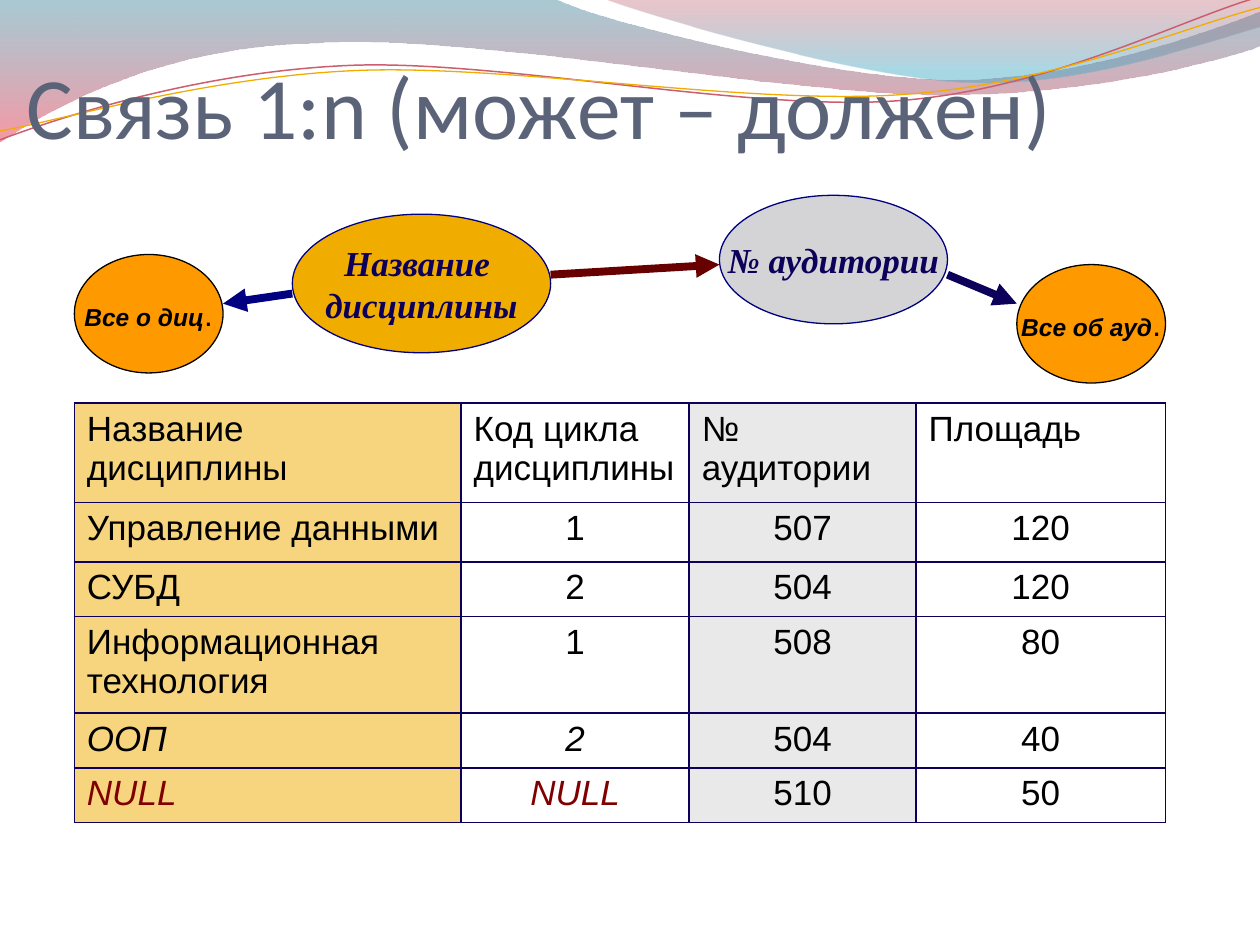
from lxml import etree
from pptx import Presentation
from pptx.dml.color import RGBColor
from pptx.enum.shapes import MSO_CONNECTOR, MSO_SHAPE
from pptx.enum.text import MSO_ANCHOR, PP_ALIGN
from pptx.oxml.ns import qn
from pptx.util import Inches, Pt

LEFT, CENTER = PP_ALIGN.LEFT, PP_ALIGN.CENTER
MIDDLE, BOTTOM = MSO_ANCHOR.MIDDLE, MSO_ANCHOR.BOTTOM
ELLIPSE, STRAIGHT = MSO_SHAPE.OVAL, MSO_CONNECTOR.STRAIGHT
NAVY, INK, MAROON, BLACK = "000080", "0D005A", "800000", "000000"
AMBER, SILVER, ORANGE = "F0AD00", "D4D4D6", "FF9900"


def color(value):
    return RGBColor.from_string(value)


def set_alpha(color_element, percent):
    etree.SubElement(color_element, qn("a:alpha")).set("val", str(percent * 1000))


def add_text(paragraph, text, size=20, font="Arial", fill=BLACK, bold=False,
             italic=False, align=LEFT):
    paragraph.alignment = align
    run = paragraph.add_run()
    run.text = text
    run.font.size = Pt(size)
    run.font.name = font
    run.font.bold = bold
    run.font.italic = italic
    run.font.color.rgb = color(fill)


def add_curve(slide, origin, start, segments, close):
    left, top = origin

    def place(x, y):
        return Inches(left + x), Inches(top + y)

    points = [place(*segment[i:i + 2]) for segment in segments for i in range(0, len(segment), 2)]
    builder = slide.shapes.build_freeform(*place(*start), scale=1.0)
    builder.add_line_segments(points, close=close)
    shape = builder.convert_to_shape()
    shape.shadow.inherit = False
    line_steps = iter(list(shape.element.spPr.iter(qn("a:lnTo"))))
    for segment in segments:
        steps = [next(line_steps) for _ in range(len(segment) // 2)]
        if len(steps) == 3:
            bezier = etree.Element(qn("a:cubicBezTo"))
            steps[0].addprevious(bezier)
            for step in steps:
                bezier.append(step[0])
                step.getparent().remove(step)
    return shape


def add_wave(slide, origin, start, segments, stops):
    shape = add_curve(slide, origin, start, segments, True)
    shape.line.fill.background()
    shape.fill.gradient()
    shape.fill.gradient_angle = 270
    for stop, (position, value, _) in zip(shape.fill.gradient_stops, stops):
        stop.position = position
        stop.color.rgb = color(value)
    fill_colors = shape.element.spPr.find(qn("a:gradFill")).iter(qn("a:srgbClr"))
    for element, (_, _, alpha) in zip(list(fill_colors), stops):
        set_alpha(element, alpha)


def add_ribbon(slide, origin, start, segments, value, width):
    shape = add_curve(slide, origin, start, segments, False)
    shape.fill.background()
    shape.line.color.rgb = color(value)
    shape.line.width = Pt(width)


def add_header_waves(slide, origin):
    add_wave(slide, origin, (0, 0), [
        (4.4, -0.01), (4.76, 0.17, 6.64, 0.63, 7.58, 0.63),
        (8.53, 0.63, 9.58, 0.26, 10, 0.09), (10.01, 0.36),
        (9.83, 0.44, 8.7, 0.76, 7.46, 0.75), (6.22, 0.75, 3.82, 0.28, 2.57, 0.34),
        (1.29, 0.36, 0.46, 0.83, -0.01, 1.13)],
        [(0, "3F8A9F", 45), (1, "EF445B", 55)])
    add_wave(slide, origin, (4.79, -0.01), [
        (5.09, 0.11, 6.82, 0.62, 7.69, 0.65), (8.56, 0.69, 9.61, 0.32, 10, 0.21), (10, 0)],
        [(0, "B84253", 30), (0.8, "42ABC7", 45)])
    add_ribbon(slide, origin, (0, 1.11), [
        (0.48, 0.93, 1.58, 0.57, 2.77, 0.52), (3.95, 0.47, 5.93, 0.89, 7.13, 0.8),
        (8.33, 0.71, 9.38, 0.15, 9.98, -0.02)], "CB5F6E", 0.85)
    add_ribbon(slide, origin, (0, 1.04), [
        (0.47, 0.96, 1.64, 0.61, 2.83, 0.56), (4.03, 0.51, 5.97, 0.84, 7.17, 0.75),
        (8.36, 0.67, 9.41, 0.21, 10, 0.06)], "F0AD00", 0.75)


def add_title(slide, box):
    frame = slide.shapes.add_textbox(*map(Inches, box)).text_frame
    frame.word_wrap = True
    frame.vertical_anchor = BOTTOM
    frame.margin_left = frame.margin_right = frame.margin_bottom = 0
    add_text(frame.paragraphs[0], "Связь 1:n (может – должен)", size=50, font="Calibri",
             fill="5A6378")


def set_borders(cell, value, width):
    properties = cell._tc.get_or_add_tcPr()
    for position, side in enumerate(("lnL", "lnR", "lnT", "lnB")):
        line = etree.Element(qn("a:" + side), w=str(Pt(width)))
        fill = etree.SubElement(line, qn("a:solidFill"))
        etree.SubElement(fill, qn("a:srgbClr"), val=value)
        properties.insert(position, line)


def add_room_table(slide, box):
    rows = [
        ("Название дисциплины", "Код цикла дисциплины", "№ аудитории", "Площадь"),
        ("Управление данными", "1", "507", "120"),
        ("СУБД", "2", "504", "120"),
        ("Информационная технология", "1", "508", "80"),
        ("ООП", "2", "504", "40"),
        ("NULL", "NULL", "510", "50"),
    ]
    column_fills = (AMBER, None, SILVER, None)
    graphic_frame = slide.shapes.add_table(len(rows), 4, *map(Inches, box))
    table = graphic_frame.table
    table.first_row = table.horz_banding = False
    for column, width in zip(table.columns, (3.07, 1.81, 1.8, 1.98)):
        column.width = Inches(width)
    for row, height in zip(table.rows, (0.79, 0.47, 0.38, 0.36, 0.2, 0.2)):
        row.height = Inches(height)
    graphic_frame.height = Inches(box[3])
    for row_index, values in enumerate(rows):
        for column_index, value in enumerate(values):
            cell = table.cell(row_index, column_index)
            add_text(cell.text_frame.paragraphs[0], value,
                     fill=MAROON if value == "NULL" else BLACK,
                     italic=row_index >= 4 and column_index < 2,
                     align=CENTER if row_index and column_index else LEFT)
            fill = column_fills[column_index]
            if fill:
                cell.fill.solid()
                cell.fill.fore_color.rgb = color(fill)
                set_alpha(next(cell._tc.tcPr.iter(qn("a:srgbClr"))), 50)
            else:
                cell.fill.background()
            set_borders(cell, INK, 1)


def add_ellipse(slide, box, fill, line):
    shape = slide.shapes.add_shape(ELLIPSE, *map(Inches, box))
    shape.shadow.inherit = False
    shape.fill.solid()
    shape.fill.fore_color.rgb = color(fill)
    shape.line.color.rgb = color(line)
    shape.line.width = Pt(0.75)
    shape.text_frame.word_wrap = False
    shape.text_frame.vertical_anchor = MIDDLE
    return shape.text_frame


def add_key(slide, box, fill, lines):
    frame = add_ellipse(slide, box, fill, NAVY)
    for index, text in enumerate(lines):
        paragraph = frame.add_paragraph() if index else frame.paragraphs[0]
        add_text(paragraph, text, font="Times New Roman", fill=INK, bold=True, italic=True,
                 align=CENTER)


def add_details(slide, box, text):
    paragraph = add_ellipse(slide, box, ORANGE, BLACK).paragraphs[0]
    add_text(paragraph, text, size=14, bold=True, italic=True, align=CENTER)
    add_text(paragraph, ".", size=18, align=CENTER)


def add_arrow(slide, start, end, value):
    arrow = slide.shapes.add_connector(STRAIGHT, *map(Inches, start + end))
    arrow.line.color.rgb = color(value)
    arrow.line.width = Pt(4.5)
    line = arrow.element.spPr.find(qn("a:ln"))
    etree.SubElement(line, qn("a:tailEnd"), type="triangle")
    etree.SubElement(arrow.element.spPr, qn("a:effectLst"))


def add_relation_diagram(slide, left, top):
    def at(x, y, *size):
        return (left + x, top + y) + size

    add_key(slide, at(1.73, 0.15, 2.05, 1.1), AMBER, ("Название ", "дисциплины"))
    add_key(slide, at(5.12, 0, 1.81, 1.02), SILVER, ("№ аудитории",))
    add_arrow(slide, at(3.78, 0.63), at(5.12, 0.55), "680000")
    add_details(slide, at(0, 0.47, 1.18, 0.94), "Все о диц")
    add_arrow(slide, at(1.73, 0.78), at(1.18, 0.86), NAVY)
    add_details(slide, at(7.48, 0.55, 1.18, 0.94), "Все об ауд")
    add_arrow(slide, at(6.93, 0.63), at(7.48, 0.86), INK)


presentation = Presentation()
presentation.slide_width, presentation.slide_height = Inches(10), Inches(7.5)
slide = presentation.slides.add_slide(presentation.slide_layouts[6])
add_header_waves(slide, (0, 0))
add_title(slide, (0.21, 0.25, 8.77, 1))
add_room_table(slide, (0.59, 3.2, 8.66, 3.33))
add_relation_diagram(slide, 0.59, 1.55)
presentation.save("out.pptx")
